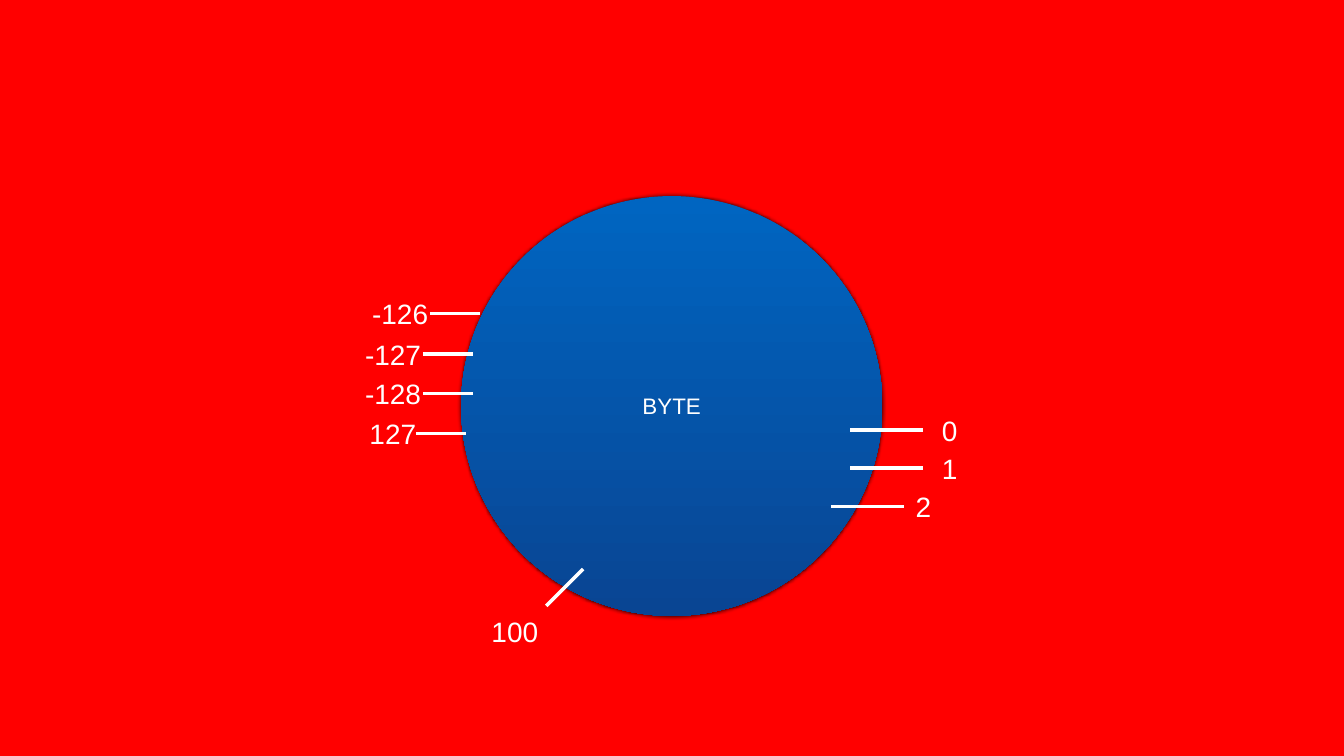
from dataclasses import dataclass

import pptx
import pptx.dml.color
import pptx.enum.shapes
import pptx.enum.text
import pptx.oxml
import pptx.oxml.ns
import pptx.shapes.autoshape
import pptx.slide
import pptx.util

PX = 9144  # EMU in one px, at 100 px to the inch


@dataclass(frozen=True)
class Theme:
    background: str = "FF0000"
    circle_top: str = "0065C1"
    circle_bottom: str = "094593"
    ink: str = "FFFFFF"
    font: str = "Arial"
    title_size: int = 32
    label_size: int = 40
    tick_width: int = 5
    inset: int = 6


@dataclass(frozen=True)
class Tick:
    label: str
    label_left: int
    label_middle: int
    start: tuple[int, int]
    end: tuple[int, int]


THEME = Theme()
LABEL_HEIGHT = 78
DIGIT_WIDTH = 31
MINUS_WIDTH = 19


def level_tick(label: str, label_left: int, left: int, y: int, length: int) -> Tick:
    return Tick(label, label_left, y, (left, y), (left + length, y))


TICKS = [
    level_tick("0", 1863, 1687, 853, 144),
    level_tick("1", 1863, 1687, 929, 144),
    level_tick("2", 1811, 1649, 1005, 144),
    Tick("100", 969, 1252, (1084, 1202), (1157, 1129)),
    level_tick("127", 727, 826, 860, 99),
    level_tick("-128", 718, 839, 781, 99),
    level_tick("-127", 718, 839, 702, 99),
    level_tick("-126", 732, 853, 622, 99),
]


def px(length: int) -> pptx.util.Emu:
    return pptx.util.Emu(length * PX)


def color(value: str) -> pptx.dml.color.RGBColor:
    return pptx.dml.color.RGBColor.from_string(value)


def write(shape: pptx.shapes.autoshape.Shape, text: str, size: int) -> None:
    """Put one centred line of text in the shape."""
    frame = shape.text_frame
    frame.margin_left = frame.margin_right = px(THEME.inset)
    frame.margin_top = frame.margin_bottom = px(THEME.inset)
    frame.vertical_anchor = pptx.enum.text.MSO_ANCHOR.MIDDLE
    paragraph = frame.paragraphs[0]
    paragraph.text = text
    paragraph.alignment = pptx.enum.text.PP_ALIGN.CENTER
    paragraph.font.name = THEME.font
    paragraph.font.size = pptx.util.Pt(size)
    paragraph.font.color.rgb = color(THEME.ink)


def add_circle(slide: pptx.slide.Slide) -> None:
    circle = slide.shapes.add_shape(
        pptx.enum.shapes.MSO_SHAPE.OVAL, px(915), px(389), px(836), px(833)
    )
    circle.line.fill.background()
    circle.fill.gradient()
    circle.fill.gradient_angle = 270
    stops = circle.fill.gradient_stops
    for stop, position, value in zip(stops, (0, 1), (THEME.circle_top, THEME.circle_bottom)):
        stop.position = position
        stop.color.rgb = color(value)
    circle.shadow.inherit = False
    effects = circle.element.spPr.find(pptx.oxml.ns.qn("a:effectLst"))
    effects.append(pptx.oxml.parse_xml(
        f'<a:outerShdw {pptx.oxml.ns.nsdecls("a")} blurRad="{pptx.util.Pt(6)}" '
        'dist="0" dir="18900000" rotWithShape="0">'
        '<a:srgbClr val="000000"><a:alpha val="80000"/></a:srgbClr></a:outerShdw>'
    ))
    write(circle, "BYTE", THEME.title_size)


def add_tick(slide: pptx.slide.Slide, tick: Tick) -> None:
    line = slide.shapes.add_connector(
        pptx.enum.shapes.MSO_CONNECTOR.STRAIGHT, *map(px, tick.start + tick.end)
    )
    line.line.color.rgb = color(THEME.ink)
    line.line.width = pptx.util.Pt(THEME.tick_width)
    line.element.spPr.append(pptx.oxml.parse_xml(
        f'<a:effectLst {pptx.oxml.ns.nsdecls("a")}/>'
    ))


def add_label(slide: pptx.slide.Slide, tick: Tick) -> None:
    digits = tick.label.lstrip("-")
    minus_width = MINUS_WIDTH * (len(tick.label) - len(digits))
    width = 2 * THEME.inset + DIGIT_WIDTH * len(digits) + minus_width
    top = tick.label_middle - LABEL_HEIGHT // 2
    label = slide.shapes.add_textbox(px(tick.label_left), px(top), px(width), px(LABEL_HEIGHT))
    label.text_frame.word_wrap = False
    label.text_frame.auto_size = pptx.enum.text.MSO_AUTO_SIZE.SHAPE_TO_FIT_TEXT
    write(label, tick.label, THEME.label_size)


def main() -> None:
    presentation = pptx.Presentation()
    presentation.slide_width = px(2667)
    presentation.slide_height = px(1500)
    slide = presentation.slides.add_slide(presentation.slide_layouts[6])
    slide.background.fill.solid()
    slide.background.fill.fore_color.rgb = color(THEME.background)
    add_circle(slide)
    for tick in TICKS:
        add_tick(slide, tick)
        add_label(slide, tick)
    presentation.save("out.pptx")


if __name__ == "__main__":
    main()
